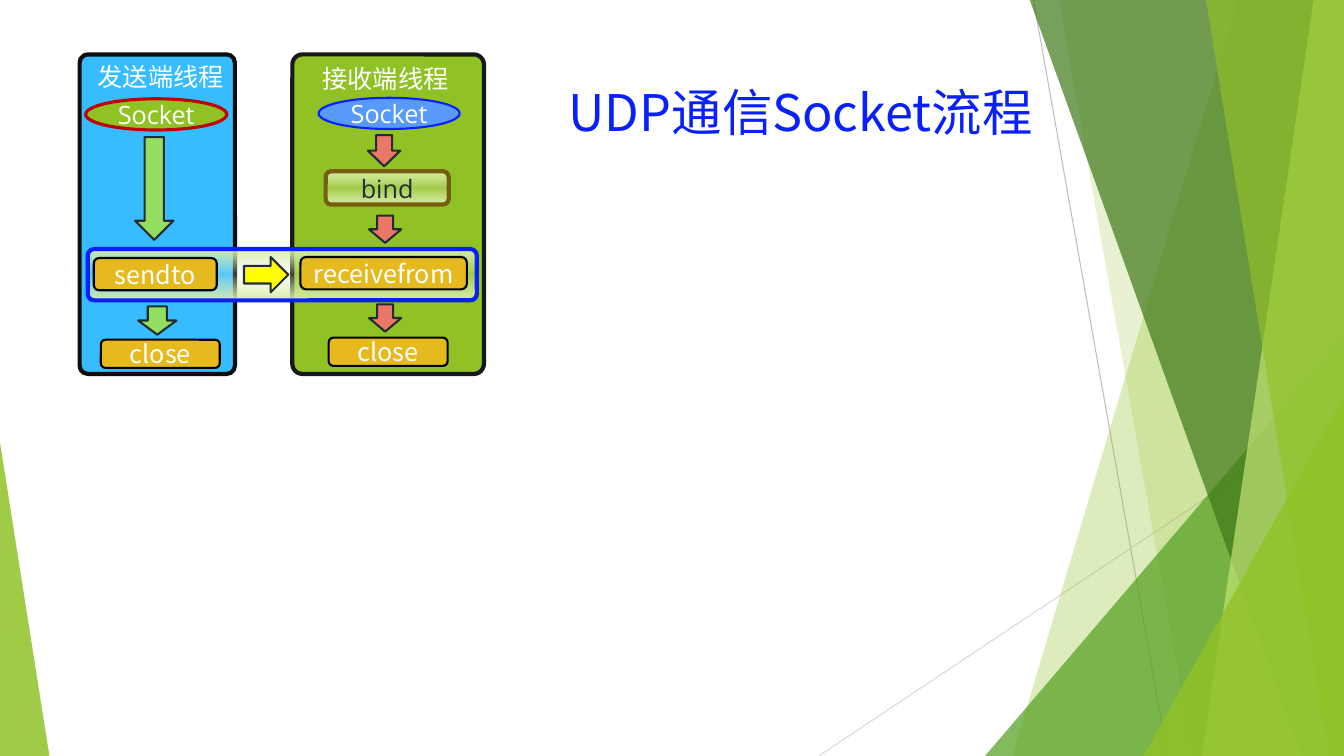
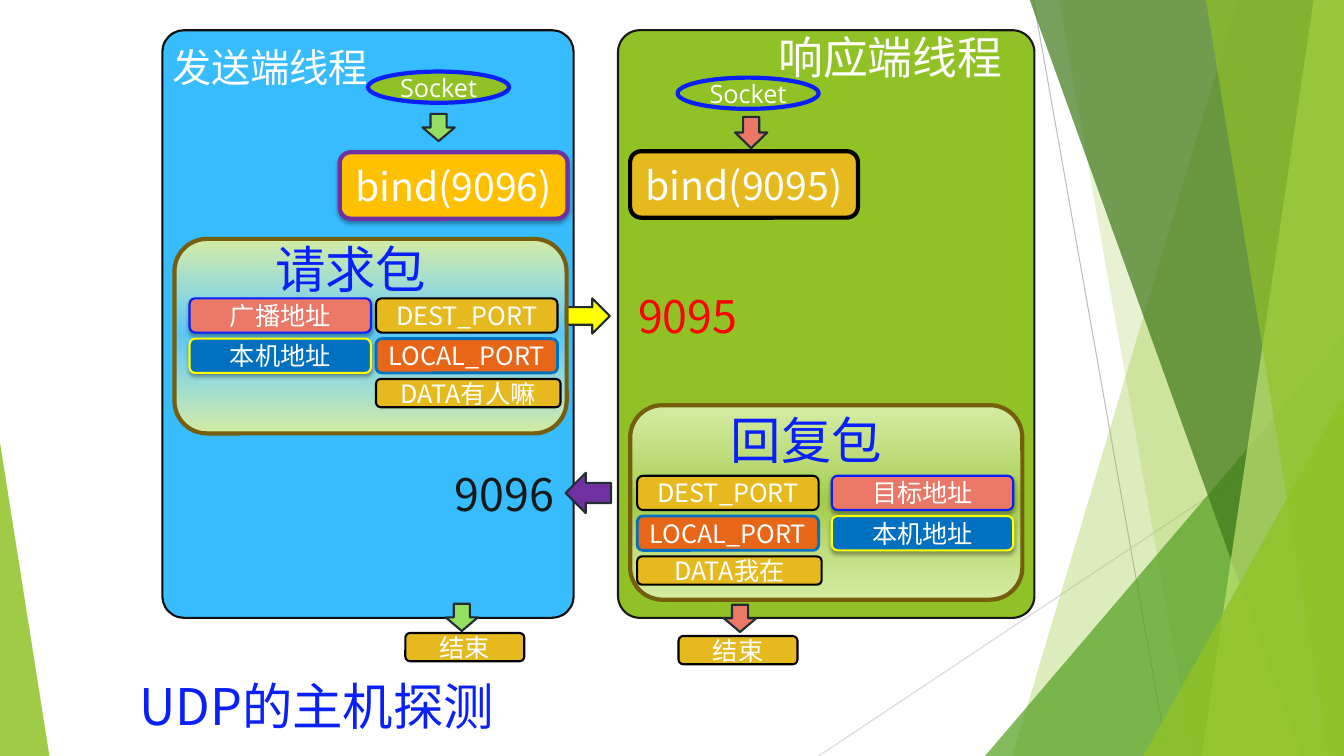
import lxml.etree
import pptx
import pptx.dml.color
import pptx.enum.shapes
import pptx.enum.text
import pptx.oxml
import pptx.oxml.ns
import pptx.util

Inches = pptx.util.Inches
Kind = pptx.enum.shapes.MSO_SHAPE
Align = pptx.enum.text.PP_ALIGN
Anchor = pptx.enum.text.MSO_ANCHOR
Fit = pptx.enum.text.MSO_AUTO_SIZE
QN = pptx.oxml.ns.qn
NS = pptx.oxml.ns.nsdecls("a")


class Theme:
    white, black, red = "FFFFFF", "000000", "FF0000"
    blue, sky, azure, navy = "0920FB", "37BCFF", "589AFA", "0070C0"
    green, mint, leaf, forest, lime = "90C226", "94DE61", "54A021", "3F7819", "C0E474"
    gold, amber, yellow, brown = "E6B91E", "FFC000", "FFFF00", "755E0D"
    coral, orange, crimson, purple = "EB7766", "E76618", "C00000", "7030A0"
    ink, coal, night = "212D32", "181818", "0D0D0D"
    gray, pale = "BFBFBF", "D9D9D9"
    glow = (("0", "D5EDA2", 100), ("49", "EAF6D1", 19), ("100", "D5EDA2", 100))
    small, medium, large, huge = 18, 28, 32, 36
    hair, thin, firm, bold, thick = 0.75, 1.5, 2, 2.25, 3
    corner = 0.053
    sans, han = "Open Sans", "Noto Sans CJK SC"


def tint(code):
    return pptx.dml.color.RGBColor.from_string(code)


def spread(values):
    return [Inches(value) for value in values]


class Deck:
    def __init__(self, theme):
        self.theme = theme
        self.file = pptx.Presentation()
        self.file.slide_width, self.file.slide_height = Inches(13.33), Inches(7.5)
        self.layout = self.file.slide_layouts[5]
        self.slide = None

    def page(self, words, place):
        self.slide = self.file.slides.add_slide(self.layout)
        title = self.slide.shapes.title
        title.left, title.top, title.width, title.height = spread(place)
        frame = title.text_frame
        frame.word_wrap = True
        frame.auto_size = Fit.NONE
        frame.vertical_anchor = Anchor.TOP
        self.letter(frame, words, self.theme.huge, self.theme.blue, Align.LEFT)

    def letter(self, frame, words, size, color, align, font=None):
        line = frame.paragraphs[0]
        line.alignment = align
        run = line.add_run()
        run.text = words
        run.font.size = pptx.util.Pt(size)
        run.font.color.rgb = tint(color)
        run.font.name = font or self.theme.han
        east = lxml.etree.SubElement(run._r.get_or_add_rPr(), QN("a:ea"))
        east.set("typeface", self.theme.han)

    def paint(self, shape, fill, alpha=None, edge=None, width=None):
        shape.shadow.inherit = False
        if fill == self.theme.glow:
            self.blend(shape)
        else:
            shape.fill.solid()
            shape.fill.fore_color.rgb = tint(fill)
        if alpha:
            color = shape.element.spPr.find(QN("a:solidFill"))[0]
            lxml.etree.SubElement(color, QN("a:alpha")).set("val", str(alpha * 1000))
        if edge:
            shape.line.color.rgb = tint(edge)
            shape.line.width = pptx.util.Pt(width or self.theme.thin)
        else:
            shape.line.fill.background()

    def blend(self, shape):
        stops = "".join(
            f'<a:gs pos="{spot}000"><a:srgbClr val="{code}">'
            f'<a:alpha val="{alpha}000"/></a:srgbClr></a:gs>'
            for spot, code, alpha in self.theme.glow)
        shape.fill.background()
        props = shape.element.spPr
        props.replace(props.find(QN("a:noFill")), pptx.oxml.parse_xml(
            f'<a:gradFill {NS} rotWithShape="1"><a:gsLst>{stops}</a:gsLst>'
            '<a:lin ang="5400000" scaled="0"/></a:gradFill>'))

    def shade(self, shape):
        props = shape.element.spPr
        props.replace(props.find(QN("a:effectLst")), pptx.oxml.parse_xml(
            f'<a:effectLst {NS}><a:outerShdw blurRad="38100" dist="25400" dir="5400000" '
            'algn="ctr" rotWithShape="0"><a:srgbClr val="000000"><a:alpha val="35000"/>'
            '</a:srgbClr></a:outerShdw></a:effectLst>'))

    def form(self, kind, place, fill, edge=None, width=None, bend=None, alpha=None):
        shape = self.slide.shapes.add_shape(kind, *spread(place))
        if bend is not None:
            shape.adjustments[0] = bend
        self.paint(shape, fill, alpha, edge, width)
        return shape

    def node(self, words, place, fill=None, edge=None, width=None, size=None,
             color=None, font=None, kind=Kind.ROUNDED_RECTANGLE, shadow=False):
        look = self.theme
        shape = self.form(kind, place, fill or look.gold, edge or look.black, width)
        if shadow:
            self.shade(shape)
        frame = shape.text_frame
        frame.word_wrap = False
        frame.vertical_anchor = Anchor.MIDDLE
        self.letter(frame, words, size or look.small, color or look.white,
                    Align.CENTER, font)

    def socket(self, x, y, fill, edge, width):
        self.node("Socket", (x, y, 1.4, 0.31), fill, edge, width,
                  font=self.theme.sans, kind=Kind.OVAL)

    def arrow(self, place, fill, kind=Kind.DOWN_ARROW):
        self.form(kind, place, fill, self.theme.ink)

    def panel(self, place, fill, edge, width):
        self.form(Kind.ROUNDED_RECTANGLE, place, fill, edge, width, self.theme.corner)

    def label(self, words, place, size, color, fit=True):
        frame = self.slide.shapes.add_textbox(*spread(place)).text_frame
        frame.word_wrap = not fit
        frame.auto_size = Fit.SHAPE_TO_FIT_TEXT if fit else Fit.NONE
        self.letter(frame, words, size, color, Align.LEFT)

    def packet(self, x, y, words, head, top, port, host, target, data):
        look = self.theme
        rows = [top + 0.4 * step for step in range(3)]
        self.form(Kind.ROUNDED_RECTANGLE, (x, y, 3.89, 1.93), look.glow,
                  look.brown, look.thick)
        self.label(words, (*head, 2.36, 0.73), look.huge, look.blue, False)
        self.node("DEST_PORT", (port, rows[0], 1.8, 0.34))
        self.node("LOCAL_PORT", (port, rows[1], 1.8, 0.34), look.orange,
                  look.navy, look.firm)
        self.node(data, (port, rows[2], 1.83, 0.28))
        self.node(target, (host, rows[0], 1.8, 0.34), look.coral, look.blue, shadow=True)
        self.node("本机地址", (host, rows[1], 1.8, 0.34), look.navy, look.yellow,
                  shadow=True)

    def rule(self, start, end, color):
        line = self.slide.shapes.add_connector(
            pptx.enum.shapes.MSO_CONNECTOR.STRAIGHT, *spread(start + end))
        line.line.color.rgb = tint(color)
        line.line.width = pptx.util.Pt(self.theme.hair)
        lxml.etree.SubElement(line.element.spPr, QN("a:effectLst"))

    def band(self, top, foot, fill, alpha, right=13.33):
        points = [(top, -0.01), (right, -0.01), (right, 7.5), (foot, 7.5)]
        points = [tuple(spread(point)) for point in points]
        pen = self.slide.shapes.build_freeform(*points[0])
        pen.add_line_segments(points[1:], close=True)
        self.paint(pen.convert_to_shape(), fill, alpha)

    def wedge(self, place, bend, fill, alpha):
        self.form(Kind.ISOSCELES_TRIANGLE, place, fill, bend=bend, alpha=alpha)

    def backdrop(self):
        look = self.theme
        self.rule((10.25, 0), (11.58, 7.5), look.gray)
        self.rule((13.33, 4.03), (8.12, 7.5), look.pale)
        self.band(12.28, 10.04, look.green, 30)
        self.band(10.5, 11.83, look.green, 20)
        self.wedge((9.77, 3.33, 3.56, 4.17), 1, look.leaf, 72)
        self.band(10.21, 12.91, look.forest, 70)
        self.band(13.03, 11.92, look.lime, 70)
        self.band(11.96, 13.18, look.green, 65)
        self.wedge((11.34, 3.93, 1.99, 3.57), 1, look.green, 80)
        self.wedge((0, 4.39, 0.49, 3.11), 0, look.green, 85)
        tree = self.layout.shapes.element
        parts = [shape for shape in self.slide.shapes if not shape.is_placeholder]
        for rank, part in enumerate(parts):
            part.element.xpath(".//p:cNvPr")[0].set("id", str(100 + rank))
            tree.insert(2 + rank, part.element)


look = Theme()
deck = Deck(look)

deck.page("UDP通信Socket流程", (5.54, 0.75, 5.25, 0.73))
deck.backdrop()
deck.panel((0.79, 0.54, 1.54, 3.17), look.sky, look.night, look.thick)
deck.panel((2.9, 0.54, 1.9, 3.17), look.green, look.coal, look.thick)
deck.form(Kind.ROUNDED_RECTANGLE, (0.87, 2.47, 3.86, 0.51), look.glow,
          look.blue, look.thick, 0.127)
deck.label("发送端线程", (0.87, 0.56, 1.46, 0.4), look.small, look.white)
deck.label("接收端线程", (3.1, 0.58, 1.46, 0.4), look.small, look.white)
deck.socket(0.85, 0.98, look.green, look.crimson, look.bold)
deck.socket(3.16, 0.97, look.azure, look.blue, look.thin)
for place in ((1.34, 1.36, 0.38, 1.02), (1.37, 3.04, 0.38, 0.28)):
    deck.arrow(place, look.mint)
for x, y, height in ((3.65, 1.34, 0.31), (3.66, 2.14, 0.27), (3.66, 3.02, 0.27)):
    deck.arrow((x, y, 0.32, height), look.coral)
deck.arrow((2.42, 2.55, 0.44, 0.35), look.yellow, Kind.RIGHT_ARROW)
deck.node("bind", (3.23, 1.7, 1.22, 0.33), look.glow, look.brown, look.thick,
          color=look.ink, font=look.sans)
for words, place in (("sendto", (0.93, 2.56, 1.22, 0.32)),
                     ("receivefrom", (2.98, 2.55, 1.65, 0.32)),
                     ("close", (1, 3.37, 1.18, 0.28)),
                     ("close", (3.26, 3.35, 1.18, 0.28))):
    deck.node(words, place)

deck.page("UDP的主机探测", (1.28, 6.65, 4.18, 0.73))
deck.panel((1.61, 0.3, 4.08, 5.83), look.sky, look.night, look.thin)
deck.panel((6.13, 0.3, 4.13, 5.83), look.green, look.coal, look.thin)
deck.label("发送端线程", (1.61, 0.38, 2.17, 0.57), look.medium, look.white)
deck.label("响应端线程", (7.62, 0.25, 2.43, 0.64), look.large, look.white)
for x, y in ((3.65, 0.71), (6.72, 0.77)):
    deck.socket(x, y, look.green, look.blue, look.thick)
for x, y, height, fill in ((4.19, 1.13, 0.27, look.mint), (4.42, 5.99, 0.27, look.mint),
                           (7.29, 1.16, 0.31, look.coral), (7.18, 6, 0.27, look.coral)):
    deck.arrow((x, y, 0.32, height), fill)
for x, y in ((4.02, 6.28), (6.73, 6.31)):
    deck.node("结束", (x, y, 1.18, 0.28))
deck.arrow((5.61, 2.96, 0.44, 0.35), look.yellow, Kind.RIGHT_ARROW)
deck.arrow((5.61, 4.69, 0.45, 0.4), look.purple, Kind.LEFT_ARROW)
deck.node("bind(9096)", (3.37, 1.51, 2.26, 0.66), look.amber, look.purple,
          look.thick, look.medium, shadow=True)
deck.node("bind(9095)", (6.25, 1.5, 2.26, 0.66), width=look.thick, size=look.medium)
deck.packet(1.73, 2.37, "请求包", (2.63, 2.31), 2.96, 3.73, 1.88,
            "广播地址", "DATA有人嘛")
deck.packet(6.25, 4.02, "回复包", (7.15, 4.01), 4.72, 6.32, 8.25,
            "目标地址", "DATA我在")
deck.label("9095", (6.23, 2.82, 1.25, 0.64), look.large, look.red)
deck.label("9096", (4.41, 4.58, 1.25, 0.64), look.large, look.coal)

deck.file.save("out.pptx")
